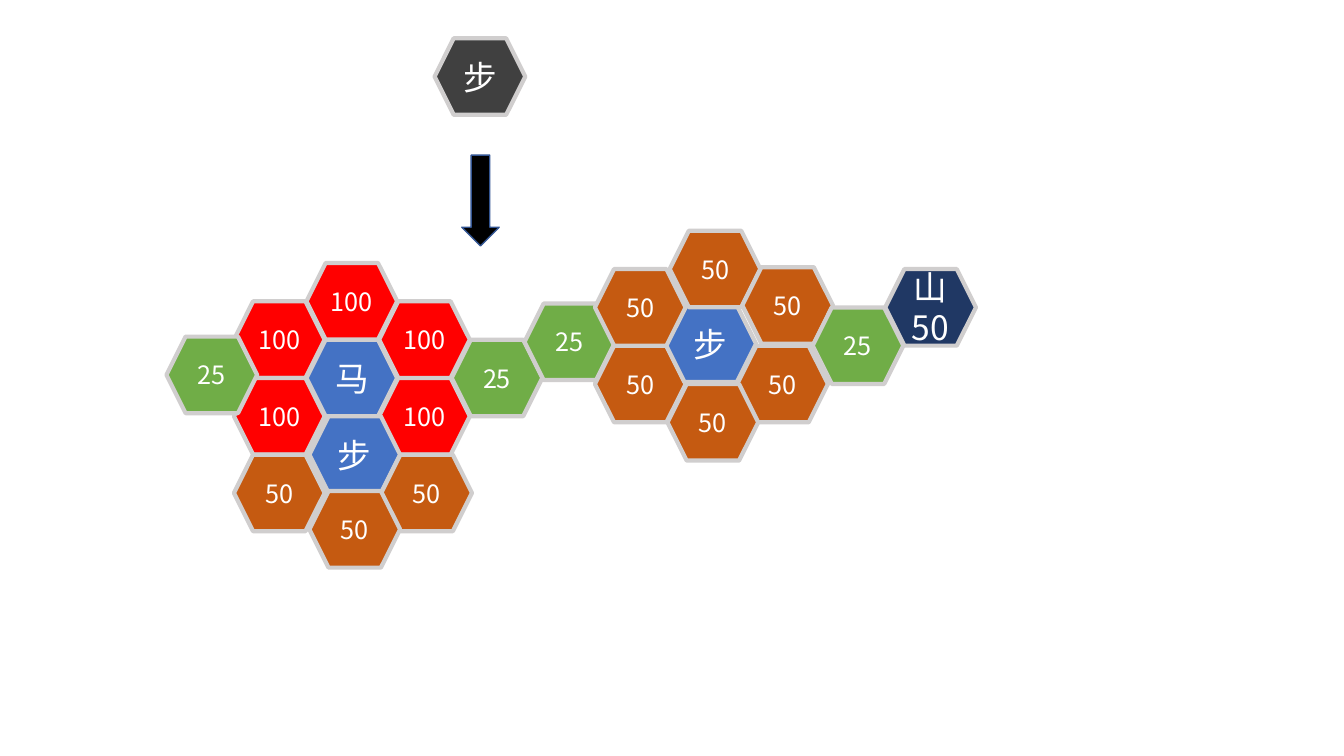
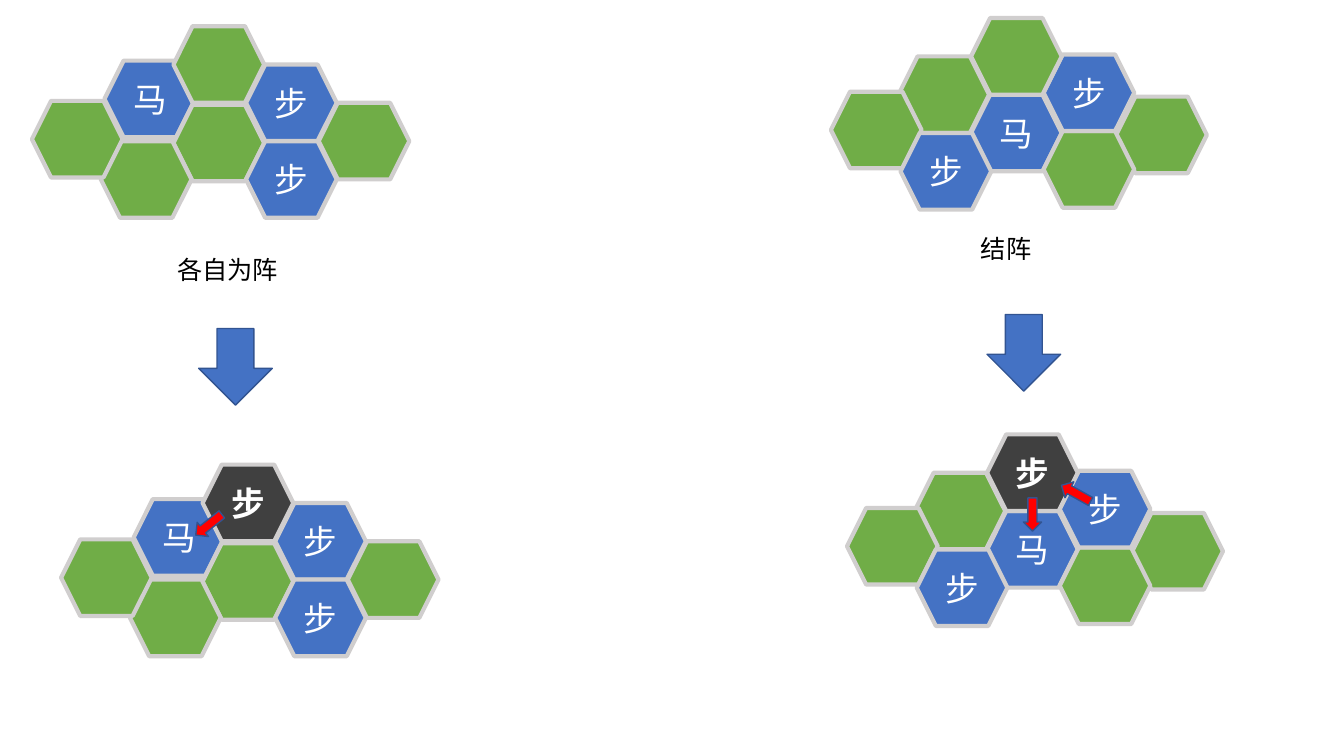
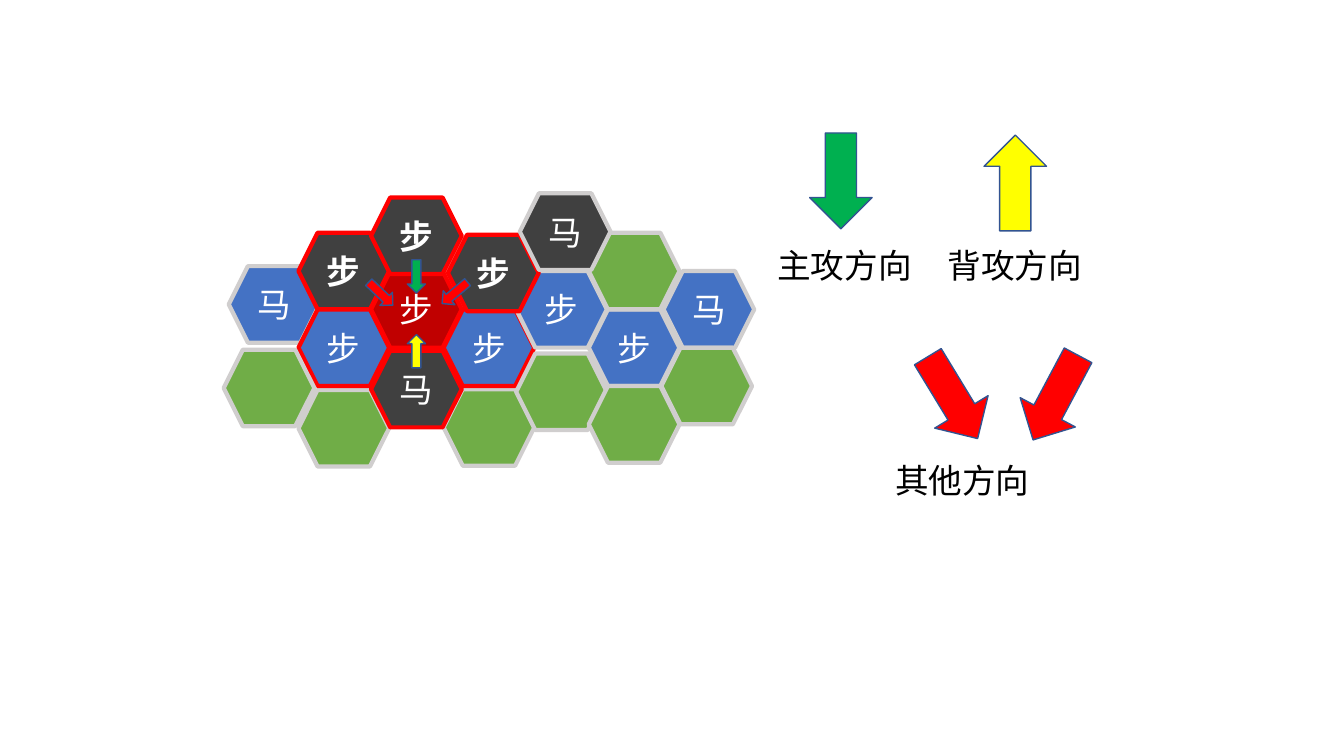
from collections import namedtuple

from pptx import Presentation
from pptx.dml.color import RGBColor as RGB
from pptx.enum.shapes import MSO_SHAPE as SHAPE
from pptx.enum.text import MSO_ANCHOR as ANCHOR, PP_ALIGN as ALIGN
from pptx.oxml.ns import qn
from pptx.util import Inches, Pt
from lxml import etree

FONT = "Noto Sans CJK SC"
WHITE = RGB(0xFF, 0xFF, 0xFF)
BLACK = RGB(0x00, 0x00, 0x00)
BLUE = RGB(0x44, 0x72, 0xC4)
NAVY = RGB(0x20, 0x38, 0x64)
EDGE_BLUE = RGB(0x32, 0x54, 0x91)
GREY = RGB(0xD0, 0xCE, 0xCE)
DARK = RGB(0x40, 0x40, 0x40)
RED = RGB(0xFF, 0x00, 0x00)
CRIMSON = RGB(0xC0, 0x00, 0x00)
ORANGE = RGB(0xC5, 0x5A, 0x11)
GRASS = RGB(0x70, 0xAD, 0x47)
GREEN = RGB(0x00, 0xB0, 0x50)
YELLOW = RGB(0xFF, 0xFF, 0x00)

WIDTH, HEIGHT = Inches(13.33), Inches(7.5)
COL, ROW = 5.4, 5.07
HEX = (6.75, 10.13)
SMALL_ARROW = (1.35, 4.4)
MEDIUM_ARROW = (5.48, 10.13)
LARGE_ARROW = (4.65, 12.67)

Tile = namedtuple("Tile", "text fill size bold edge", defaults=(24, False, GREY))
LAND = Tile("", GRASS)
FOOT = Tile("步", BLUE)
HORSE = Tile("马", BLUE)
ENEMY_FOOT = Tile("步", DARK, bold=True)
ENEMY_HORSE = Tile("马", DARK)
SCORE_25 = Tile("25", GRASS, 18)
SCORE_50 = Tile("50", ORANGE, 18)
SCORE_100 = Tile("100", RED, 18)

LOOSE = [
    (HORSE, [(-0.95, -1.1)]),
    (LAND, [(0, 0.05), (-1, 1), (2, 0), (-1.95, -0.05)]),
    (FOOT, [(1, -1), (1, 1)]),
]
JOINED = [
    (HORSE, [(0, 0)]),
    (LAND, [(-1, -1), (2, 0.05), (-1.93, -0.08), (1, 0.95)]),
    (FOOT, [(1, -1.05), (-0.97, 1)]),
]


def box(center, size):
    """Return left, top, width and height in EMU from shares in percent."""
    (x, y), (w, h) = center, size
    return [round(share * full / 100) for share, full in
            ((x - w / 2, WIDTH), (y - h / 2, HEIGHT), (w, WIDTH), (h, HEIGHT))]


def cell(origin, col, row):
    """Return the centre of a board cell in percent."""
    return origin[0] + col * COL, origin[1] + row * ROW


def write(tf, text, size=24, color=WHITE, bold=False, align=ALIGN.CENTER):
    """Write one formatted paragraph into a text frame."""
    tf.word_wrap = True
    p = tf.paragraphs[0]
    p.alignment = align
    r = p.add_run()
    r.text = text
    r.font.name, r.font.size, r.font.bold = FONT, Pt(size), bold
    r.font.color.rgb = color
    etree.SubElement(r.font._element, qn("a:ea")).set("typeface", FONT)


def add_block(s, preset, center, size, fill, edge, weight):
    """Add a filled and outlined preset shape."""
    sp = s.shapes.add_shape(preset, *box(center, size))
    sp.shadow.inherit = False
    sp.fill.solid()
    sp.fill.fore_color.rgb = fill
    sp.line.color.rgb = edge
    sp.line.width = Pt(weight)
    return sp


def add_tile(s, center, tile):
    """Add one hexagon of the board."""
    sp = add_block(s, SHAPE.HEXAGON, center, HEX, tile.fill, tile.edge, 3)
    if tile.text:
        sp.text_frame.vertical_anchor = ANCHOR.MIDDLE
        write(sp.text_frame, tile.text, size=tile.size, bold=tile.bold)


def add_board(s, origin, groups):
    """Add groups of equal tiles around the origin cell."""
    for tile, cells in groups:
        for col, row in cells:
            add_tile(s, cell(origin, col, row), tile)


def add_arrow(s, center, size, fill, turn=0):
    """Add a block arrow that points down before it is turned."""
    sp = add_block(s, SHAPE.DOWN_ARROW, center, size, fill, EDGE_BLUE, 1)
    sp.rotation = turn


def add_label(s, center, size, text, points):
    """Add a black caption."""
    tf = s.shapes.add_textbox(*box(center, size)).text_frame
    write(tf, text, size=points, color=BLACK, align=ALIGN.LEFT)


def build_scores(s):
    """Draw the scores around two groups of pieces."""
    add_board(s, (26.18, 50), [
        (HORSE, [(0, 0)]),
        (SCORE_100, [(1, 1), (1, -1), (0, -2), (-1, -1), (-1, 1)]),
        (SCORE_25, [(2, 0)]),
    ])
    add_board(s, (53.04, 45.73), [
        (SCORE_25, [(-1.97, -0.1)]),
        (SCORE_50, [(-1, 1)]),
        (FOOT, [(-0.03, -0.05)]),
        (SCORE_50, [(-1, -1), (0.03, -2), (1.03, -1.05), (0.96, 1), (0, 2)]),
        (SCORE_25, [(2, 0)]),
        (Tile("山50", NAVY), [(3, -1)]),
    ])
    add_board(s, (26.18, 50), [
        (FOOT, [(0.04, 2)]),
        (SCORE_50, [(1.03, 3), (-1, 3), (0.04, 3.95)]),
        (SCORE_25, [(-1.93, -0.08)]),
    ])
    add_tile(s, (35.71, 10.13), Tile("步", DARK))
    add_arrow(s, (35.75, 26.53), (2.78, 12), BLACK)


def build_formations(s):
    """Draw a loose and a joined formation before and after the attack."""
    before_loose, after_loose = (16.28, 18.67), (18.45, 76.67)
    before_joined, after_joined = (75.62, 17.6), (76.82, 72.67)
    for origin, formation, top in (
            (before_loose, LOOSE, LAND), (after_loose, LOOSE, ENEMY_FOOT),
            (before_joined, JOINED, LAND), (after_joined, JOINED, ENEMY_FOOT)):
        add_board(s, origin, formation + [(top, [(0, -2)])])
    for origin, col, row, turn in ((after_loose, -0.54, -1.43, 51.6),
                                   (after_joined, 0, -0.91, 0),
                                   (after_joined, 0.6, -1.46, 119.1)):
        add_arrow(s, cell(origin, col, row), SMALL_ARROW, RED, turn)
    add_label(s, (17.59, 35.6), (10.28, 5.33), "各自为阵", 18)
    add_label(s, (75.62, 32.93), (6.75, 5.33), "结阵", 18)
    for center in ((17.52, 48.53), (76.18, 46.67)):
        add_arrow(s, center, MEDIUM_ARROW, BLUE)


def build_directions(s):
    """Draw an encircled piece and the legend of attack directions."""
    origin = (30.98, 40.93)
    foe = ENEMY_FOOT._replace(edge=RED)
    add_board(s, origin, [
        (HORSE, [(-1.96, -0.13)]),
        (LAND, [(-1, 3.1), (1, 3.08)]),
        (foe, [(-1, -1)]),
        (FOOT._replace(edge=RED), [(1, 1), (-1, 1)]),
        (Tile("步", CRIMSON, edge=RED), [(0, 0)]),
        (FOOT, [(2, 0), (3, 1)]),
        (HORSE, [(4.03, 0)]),
        (LAND, [(2, 2.15), (-2.03, 2.05), (3, -1), (3, 3), (4, 2)]),
        (foe, [(0, -1.92), (1.06, -0.95)]),
        (ENEMY_HORSE, [(2.05, -2.03)]),
        (ENEMY_HORSE._replace(edge=RED), [(0, 2.08)]),
    ])
    for col, row, fill, turn in ((0, -0.86, GREEN, 0), (-0.49, -0.41, RED, 313.5),
                                 (0.53, -0.43, RED, 50), (0, 1.09, YELLOW, 180)):
        add_arrow(s, cell(origin, col, row), SMALL_ARROW, fill, turn)
    for center, fill, turn in (((62.57, 23.93), GREEN, 0), ((75.54, 24.2), YELLOW, 180),
                               ((78.54, 52.6), RED, 28), ((70.89, 52.6), RED, 328.7)):
        add_arrow(s, center, LARGE_ARROW, fill, turn)
    for center, text in (((63.47, 35.07), "主攻方向"), ((76.14, 35.07), "背攻方向"),
                         ((72.24, 63.47), "其他方向")):
        add_label(s, center, (12.75, 6.67), text, 24)


def main():
    """Build and save the slides."""
    prs = Presentation()
    prs.slide_width, prs.slide_height = WIDTH, HEIGHT
    for build in (build_scores, build_formations, build_directions):
        build(prs.slides.add_slide(prs.slide_layouts[6]))
    prs.save("out.pptx")


if __name__ == "__main__":
    main()
